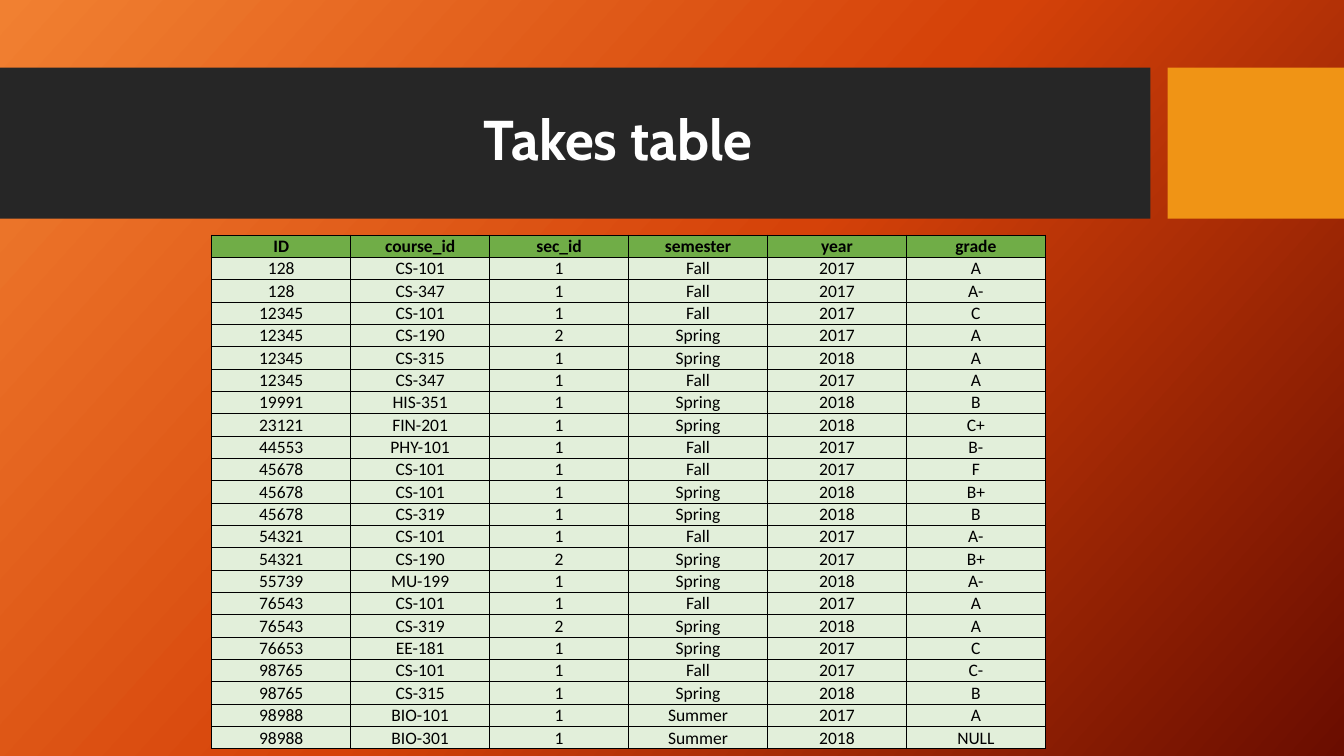
from copy import deepcopy
from dataclasses import dataclass

from lxml.etree import SubElement as Sub
from pptx import Presentation
from pptx.dml.color import RGBColor as RGB
from pptx.enum.shapes import MSO_SHAPE as Shape
from pptx.enum.text import MSO_ANCHOR as Anchor, MSO_AUTO_SIZE as Fit, PP_ALIGN as Align
from pptx.oxml.ns import qn
from pptx.util import Inches, Pt


@dataclass(frozen=True)
class Theme:
    back: tuple = ("F18031", "D54209", "6A0D00")
    angle: int = 42
    band: str = "262626"
    accent: str = "F09415"
    head: str = "70AD47"
    body: str = "E2EFDA"
    ink: str = "000000"
    light: str = "FFFFFF"
    title_font: str = "Cabin"
    title_size: float = 40
    cell_font: str = "Calibri"
    cell_size: float = 12.5
    rule: float = 0.5


THEME = Theme()

HEADS = "ID course_id sec_id semester year grade".split()
TAKES = [line.split() for line in """\
128 CS-101 1 Fall 2017 A
128 CS-347 1 Fall 2017 A-
12345 CS-101 1 Fall 2017 C
12345 CS-190 2 Spring 2017 A
12345 CS-315 1 Spring 2018 A
12345 CS-347 1 Fall 2017 A
19991 HIS-351 1 Spring 2018 B
23121 FIN-201 1 Spring 2018 C+
44553 PHY-101 1 Fall 2017 B-
45678 CS-101 1 Fall 2017 F
45678 CS-101 1 Spring 2018 B+
45678 CS-319 1 Spring 2018 B
54321 CS-101 1 Fall 2017 A-
54321 CS-190 2 Spring 2017 B+
55739 MU-199 1 Spring 2018 A-
76543 CS-101 1 Fall 2017 A
76543 CS-319 2 Spring 2018 A
76653 EE-181 1 Spring 2017 C
98765 CS-101 1 Fall 2017 C-
98765 CS-315 1 Spring 2018 B
98988 BIO-101 1 Summer 2017 A
98988 BIO-301 1 Summer 2018 NULL""".splitlines()]


def apply(item, **values):
    for name, value in values.items():
        setattr(item, name, value)


def style(para, font, size, color, bold):
    para.alignment = Align.CENTER
    for run in para.runs:
        apply(run.font, name=font, size=Pt(size), bold=bold)
        run.font.color.rgb = RGB.from_string(color)


def paint_back(slide):
    """Fill the background with evenly spaced gradient stops."""
    fill = slide.background.fill
    fill.gradient()
    fill.gradient_angle = 360 - THEME.angle
    stops = slide.element.xpath(".//a:gsLst")[0]
    while len(stops) < len(THEME.back):
        stops.append(deepcopy(stops[0]))
    last = len(THEME.back) - 1
    for i, (stop, color) in enumerate(zip(fill.gradient_stops, THEME.back)):
        stop.position = i / last
        stop.color.rgb = RGB.from_string(color)


def add_block(slide, left, top, width, height, color):
    block = slide.shapes.add_shape(
        Shape.RECTANGLE, *map(Inches, (left, top, width, height)))
    block.shadow.inherit = False
    block.fill.solid()
    block.fill.fore_color.rgb = RGB.from_string(color)
    block.line.fill.background()


def add_header(slide, left, top, width, height, text):
    """Place the dark band, the accent block and the title over them."""
    band, gap, accent = 11.41, 0.16, 1.75
    add_block(slide, left, top, band, height, THEME.band)
    add_block(slide, left + width - accent, top, width - band - gap, height, THEME.accent)

    title = slide.shapes.title
    apply(title, left=Inches(left + 1.13), top=Inches(top + 0.32),
          width=Inches(10), height=Inches(0.77))
    frame = title.text_frame
    frame.text = text
    apply(frame, word_wrap=True, auto_size=Fit.SHAPE_TO_FIT_TEXT,
          vertical_anchor=Anchor.TOP)
    style(frame.paragraphs[0], THEME.title_font, THEME.title_size, THEME.light, True)
    slide.shapes.element.append(title.element)  # bring to front


def add_borders(cell):
    props = cell._tc.get_or_add_tcPr()
    for i, side in enumerate(("lnL", "lnR", "lnT", "lnB")):
        line = props.makeelement(qn(f"a:{side}"), {"w": str(Pt(THEME.rule))})
        fill = Sub(line, qn("a:solidFill"))
        Sub(fill, qn("a:srgbClr"), val=THEME.ink)
        props.insert(i, line)


def fill_cell(cell, text, head):
    cell.text = text
    edge = Inches(0.01)
    apply(cell, margin_left=edge, margin_right=edge, margin_top=edge,
          margin_bottom=0, vertical_anchor=Anchor.MIDDLE)
    cell.fill.solid()
    cell.fill.fore_color.rgb = RGB.from_string(THEME.head if head else THEME.body)
    style(cell.text_frame.paragraphs[0], THEME.cell_font, THEME.cell_size, THEME.ink, head)
    add_borders(cell)


def add_grid(slide, left, top, width, height, rows):
    """Place a table with equal rows and columns; the first row is the head."""
    box = map(Inches, (left, top, width, height))
    table = slide.shapes.add_table(len(rows), len(rows[0]), *box).table
    table.horz_banding = False
    for r, row in enumerate(rows):
        table.rows[r].height = Inches(height / len(rows))
        for c, text in enumerate(row):
            fill_cell(table.cell(r, c), text, r == 0)


def main():
    deck = Presentation()
    apply(deck, slide_width=Inches(13.33), slide_height=Inches(7.5))
    slide = deck.slides.add_slide(deck.slide_layouts.get_by_name("Title Only"))
    paint_back(slide)
    add_header(slide, 0, 0.67, 13.33, 1.5, "Takes table")
    add_grid(slide, 2.1, 2.33, 8.27, 5.1, [HEADS, *TAKES])
    deck.save("out.pptx")


if __name__ == "__main__":
    main()
